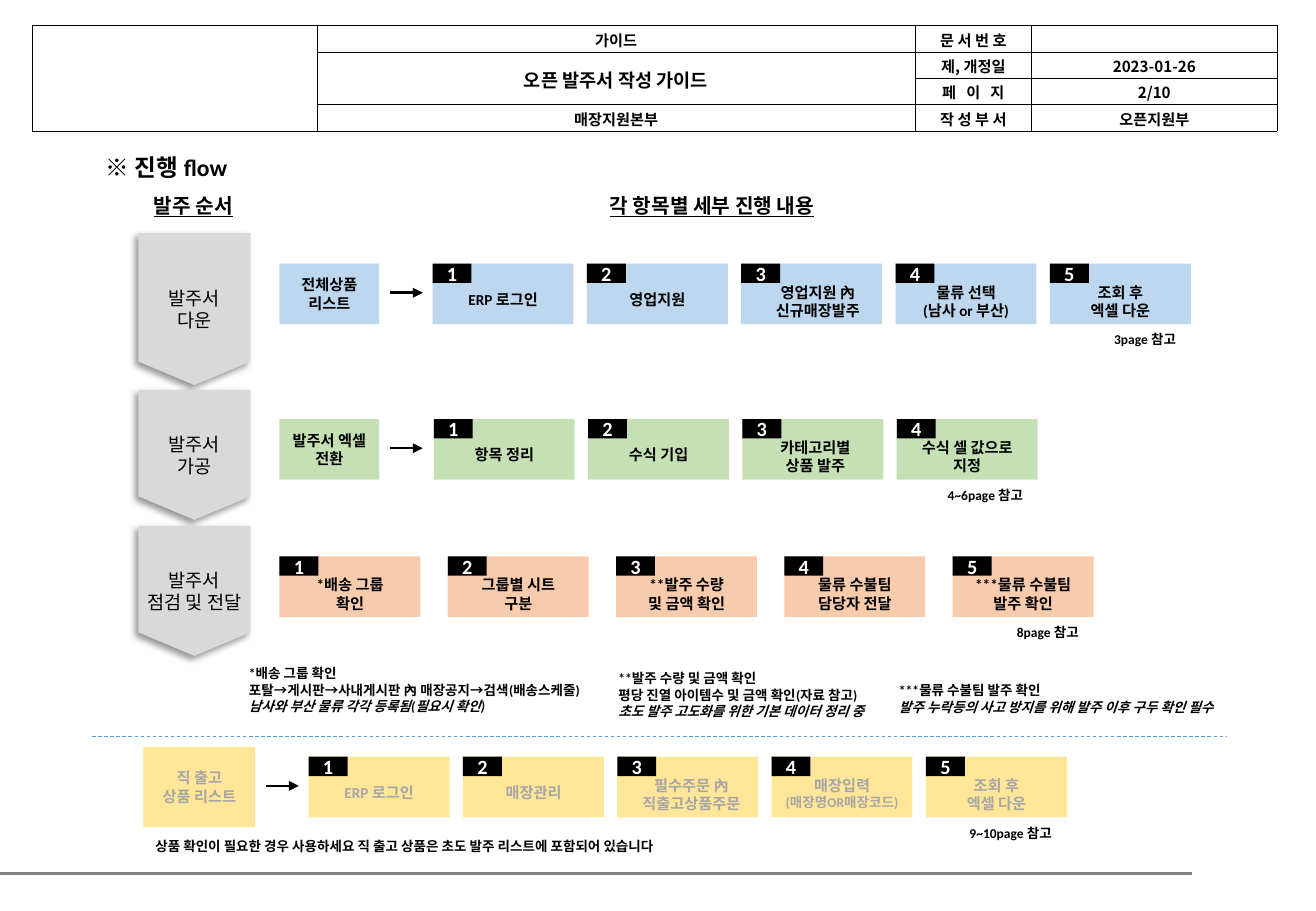
from dataclasses import dataclass, field

from lxml.etree import SubElement
from pptx import Presentation
from pptx.dml.color import RGBColor
from pptx.enum.dml import MSO_LINE_DASH_STYLE as Dash
from pptx.enum.shapes import MSO_CONNECTOR as Connector, MSO_SHAPE as Preset
from pptx.enum.text import MSO_ANCHOR as Anchor, MSO_AUTO_SIZE as AutoSize, PP_ALIGN as Align
from pptx.oxml.ns import qn
from pptx.util import Inches, Pt

BLACK = RGBColor(0x00, 0x00, 0x00)
WHITE = RGBColor(0xFF, 0xFF, 0xFF)
PHASE_GRAY = RGBColor(0xD9, 0xD9, 0xD9)
MUTED = RGBColor(0xA6, 0xA6, 0xA6)
RULE_GRAY = RGBColor(0x80, 0x80, 0x80)
DIVIDER_BLUE = RGBColor(0x5B, 0x9B, 0xD5)
BLUE = RGBColor(0xBD, 0xD7, 0xEE)
GREEN = RGBColor(0xC5, 0xE0, 0xB4)
ORANGE = RGBColor(0xF8, 0xCB, 0xAD)
YELLOW = RGBColor(0xFF, 0xE6, 0x99)

COLUMNS, ROWS = 108.3, 75
STEP_WIDTH, STEP_HEIGHT = 11.6, 5
SOURCE_TEXT_WIDTH = 9.5


@dataclass
class Step:
    """Label of one step, with its width and shift from the box centre."""
    label: str
    width: float = 9.5
    shift: float = 0
    last: dict = field(default_factory=dict)


def grid(*cells):
    """Turn grid cells of a tenth of an inch into lengths."""
    return [Inches(cell / 10) for cell in cells]


def write(frame, text, size=9, color=BLACK, font="Calibri", align=Align.CENTER,
          bold=True, italic=False, underline=False, line_spacing=None, spacing=0, last=None):
    """Fill a text frame, one paragraph a line, with changes for the last one."""
    lines = text.split("\n")
    for number, line in enumerate(lines):
        changes = (last or {}) if number == len(lines) - 1 else {}
        paragraph = frame.paragraphs[0] if number == 0 else frame.add_paragraph()
        paragraph.alignment = align
        paragraph.line_spacing = line_spacing
        run = paragraph.add_run()
        run.text = line
        run.font.name = font
        run.font.size = Pt(changes.get("size", size))
        run.font.bold = bold
        run.font.italic = changes.get("italic", italic)
        run.font.underline = underline
        run.font.color.rgb = color
        properties = run._r.get_or_add_rPr()
        SubElement(properties, qn("a:ea")).set("typeface", "Noto Sans CJK KR")
        if spacing:
            properties.set("spc", str(spacing))


def add_label(shapes, box, text, **style):
    """Place a wrapping text box."""
    frame = shapes.add_textbox(*grid(*box)).text_frame
    frame.word_wrap = True
    frame.auto_size = AutoSize.SHAPE_TO_FIT_TEXT
    write(frame, text, **style)


def add_block(shapes, box, fill, preset=Preset.RECTANGLE):
    """Place a filled shape without line or shadow."""
    block = shapes.add_shape(preset, *grid(*box))
    block.fill.solid()
    block.fill.fore_color.rgb = fill
    block.line.fill.background()
    block.shadow.inherit = False
    return block


def add_rule(shapes, left, right, top, color, width, dash=None, arrow=False):
    """Draw a horizontal line or arrow."""
    rule = shapes.add_connector(Connector.STRAIGHT, *grid(left, top, right, top))
    rule.line.color.rgb = color
    rule.line.width = Pt(width)
    if dash:
        rule.line.dash_style = dash
    if arrow:
        SubElement(rule.line._get_or_add_ln(), qn("a:tailEnd")).set("type", "triangle")
    SubElement(rule._element.spPr, qn("a:effectLst"))


def add_phase(shapes, box, label):
    """Place a downward pentagon with a soft shadow and its label."""
    left, top, width, height = box
    middle_x, middle_y = left + width / 2, top + height / 2
    pentagon = add_block(shapes, (middle_x - height / 2, middle_y - width / 2, height, width),
                         PHASE_GRAY, Preset.PENTAGON)
    pentagon.rotation = 90
    pentagon.adjustments[0] = 0.21
    effects = pentagon._element.spPr.find(qn("a:effectLst"))
    shadow = SubElement(effects, qn("a:outerShdw"), blurRad=str(Pt(4)), dist=str(Pt(3)),
                        dir="8100000", algn="tr", rotWithShape="0")
    tint = SubElement(shadow, qn("a:srgbClr"), val="000000")
    SubElement(tint, qn("a:alpha"), val="40000")
    add_label(shapes, (middle_x - 5.2, middle_y - 2.3, 10.4, 4.7), label, size=11, bold=False)


def add_step(shapes, left, top, number, step, fill, color):
    """Place one numbered step as a group."""
    parts = shapes.add_group_shape().shapes
    add_block(parts, (left, top, STEP_WIDTH, STEP_HEIGHT), fill)
    badge = add_block(parts, (left, top, 3.2, 1.6), BLACK).text_frame
    badge.vertical_anchor = Anchor.MIDDLE
    write(badge, str(number), size=12, color=WHITE)
    drop, height = (1.7, 2.5) if len(step.label) <= 7 else (1.1, 4)
    text_left = left + (STEP_WIDTH - step.width) / 2 + step.shift
    add_label(parts, (text_left, top + drop, step.width, height), step.label,
              color=color, last=step.last)


def add_flow(shapes, left, top, pitch, steps, fill, page, page_width, color=BLACK):
    """Place a row of steps and the page reference under the last one."""
    for index, step in enumerate(steps):
        add_step(shapes, left + index * pitch, top, index + 1, step, fill, color)
    right = left + (len(steps) - 1) * pitch + STEP_WIDTH
    add_label(shapes, (right - page_width, top + STEP_HEIGHT + 0.1, page_width, 2.4),
              page, size=8, align=Align.LEFT)


def add_source(shapes, box, label, fill, color=BLACK):
    """Place the starting list of a flow and the arrow leaving it."""
    left, top, width, height = box
    add_block(shapes, box, fill)
    add_label(shapes, (left + (width - SOURCE_TEXT_WIDTH) / 2, top + height / 2 - 2,
                       SOURCE_TEXT_WIDTH, 4), label, color=color)
    start = left + width + 0.9
    add_rule(shapes, start, start + 2.7, top + height / 2 - 0.1, BLACK, 1.5, arrow=True)


def border_cell(cell):
    """Give a cell thin black borders and no fill."""
    properties = cell._tc.get_or_add_tcPr()
    for side in ("lnL", "lnR", "lnT", "lnB"):
        edge = SubElement(properties, qn(f"a:{side}"), w=str(Pt(0.5)))
        paint = SubElement(edge, qn("a:solidFill"))
        SubElement(paint, qn("a:srgbClr"), val="000000")
    cell.fill.background()


def add_document_header(shapes, box):
    """Place the document header table."""
    table = shapes.add_table(4, 4, *grid(*box)).table
    table.first_row = table.horz_banding = False
    for column, width in zip(table.columns, grid(23.4, 49.2, 9.6, 20.2)):
        column.width = width
    texts = [("", "가이드", "문 서 번 호", ""),
             ("", "오픈 발주서 작성 가이드", "제, 개정일", "2023-01-26"),
             ("", "", "페 이 지", "2/10"),
             ("", "매장지원본부", "작 성 부 서", "오픈지원부")]
    for row, row_texts in enumerate(texts):
        for column, text in enumerate(row_texts):
            cell = table.cell(row, column)
            cell.margin_top = cell.margin_bottom = 0
            cell.margin_left = cell.margin_right = Inches(0.07)
            cell.vertical_anchor = Anchor.MIDDLE
            border_cell(cell)
            if text:
                write(cell.text_frame, text, size=11 if (row, column) == (1, 1) else 9,
                      font="Noto Sans CJK KR", line_spacing=1.07,
                      spacing=200 if text == "페 이 지" else 0)
            else:
                SubElement(cell.text_frame.paragraphs[0]._p, qn("a:endParaRPr"), sz="900")
    table.cell(0, 0).merge(table.cell(3, 0))
    table.cell(1, 1).merge(table.cell(2, 1))


def set_title(title, box, text):
    """Move and format the title placeholder."""
    title.left, title.top, title.width, title.height = grid(*box)
    title.text_frame.vertical_anchor = Anchor.TOP
    title.text_frame.auto_size = AutoSize.NONE
    write(title.text_frame, text, size=14, align=Align.LEFT)


def add_order_flow(slide):
    """Build the order flow slide."""
    shapes = slide.shapes
    set_title(shapes.title, (7.7, 12.1, 34, 3.4), "※ 진행 flow")
    add_document_header(shapes, (2.7, 2.1, 102.4, 8.7))
    add_label(shapes, (10.2, 15.4, 11.4, 3), "발주 순서", size=12, underline=True)
    add_label(shapes, (48.3, 15.4, 20.6, 3), "각 항목별 세부 진행 내용", size=12, underline=True)

    for top, height, label in ((19.2, 12.5, "발주서\n다운"), (32.1, 10.7, "발주서\n가공"),
                               (43.3, 10.7, "발주서\n점검 및 전달")):
        add_phase(shapes, (11.4, top, 9.2, height), label)

    add_source(shapes, (23, 21.7, 8.2, 5), "전체상품\n리스트", BLUE)
    add_source(shapes, (23, 34.5, 8.2, 5), "발주서 엑셀\n전환", GREEN)
    add_source(shapes, (11.8, 61.5, 9.2, 6.6), "직 출고\n상품 리스트", YELLOW, MUTED)

    login, download = Step("ERP 로그인"), Step("조회 후\n엑셀 다운")
    add_flow(shapes, 35.6, 21.7, 12.7,
             [login, Step("영업지원"), Step("영업지원 內 신규매장발주", 12.7, 0.5),
              Step("물류 선택\n(남사 or 부산)"), download], BLUE, "3page 참고", 7.3)
    add_flow(shapes, 35.7, 34.5, 12.7,
             [Step("항목 정리"), Step("수식 기입"), Step("카테고리별\n상품 발주", 11.6, 0.2),
              Step("수식 셀 값으로\n지정", 11.6)], GREEN, "4~6page 참고", 8.4)
    add_flow(shapes, 23, 45.8, 13.85,
             [Step("*배송 그룹 확인"), Step("그룹별 시트 구분"), Step("**발주 수량 및 금액 확인"),
              Step("물류 수불팀\n담당자 전달"), Step("***물류 수불팀\n발주 확인", 11.6)],
             ORANGE, "8page 참고", 7.3)
    add_flow(shapes, 25.4, 62.3, 12.7,
             [login, Step("매장관리"), Step("필수주문 內\n직출고상품주문", 11.6, 0.3),
              Step("매장입력\n(매장명OR매장코드)", 11.6, last={"size": 8}), download],
             YELLOW, "9~10page 참고", 9, MUTED)

    for box, note in (
            ((19.5, 54.3, 31.2, 5), "*배송 그룹 확인\n포탈→게시판→사내게시판 內 매장공지→검색(배송스케줄)\n"
                                    "남사와 부산 물류 각각 등록됨(필요시 확인)"),
            ((49.9, 54.7, 23.8, 5), "**발주 수량 및 금액 확인\n평당 진열 아이템수 및 금액 확인(자료 참고)\n"
                                    "초도 발주 고도화를 위한 기본 데이터 정리 중"),
            ((73, 55.7, 30, 3.7), "***물류 수불팀 발주 확인\n"
                                  "발주 누락등의 사고 방지를 위해 발주 이후 구두 확인 필수")):
        add_label(shapes, box, note, size=8, align=Align.LEFT, last={"italic": True})
    add_label(shapes, (11.8, 68.5, 46.5, 2.4),
              "상품 확인이 필요한 경우 사용하세요 직 출고 상품은 초도 발주 리스트에 포함되어 있습니다",
              size=8, align=Align.LEFT)
    add_rule(shapes, 7.6, 101, 60.6, DIVIDER_BLUE, 0.5, dash=Dash.DASH)
    add_rule(shapes, 0, 98.1, 71.9, RULE_GRAY, 1.5)


def main():
    """Create and save the presentation."""
    deck = Presentation()
    deck.slide_width, deck.slide_height = grid(COLUMNS, ROWS)
    add_order_flow(deck.slides.add_slide(deck.slide_layouts[5]))
    deck.save("out.pptx")


if __name__ == "__main__":
    main()
